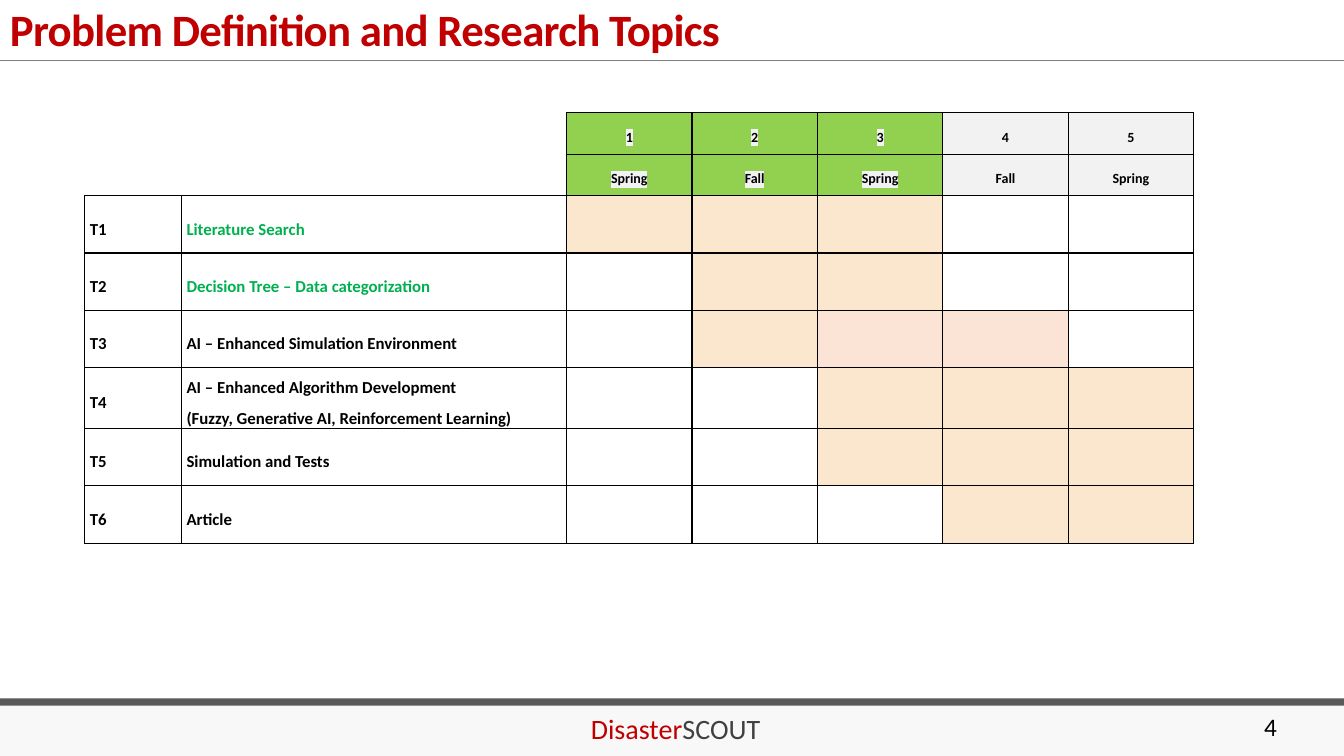
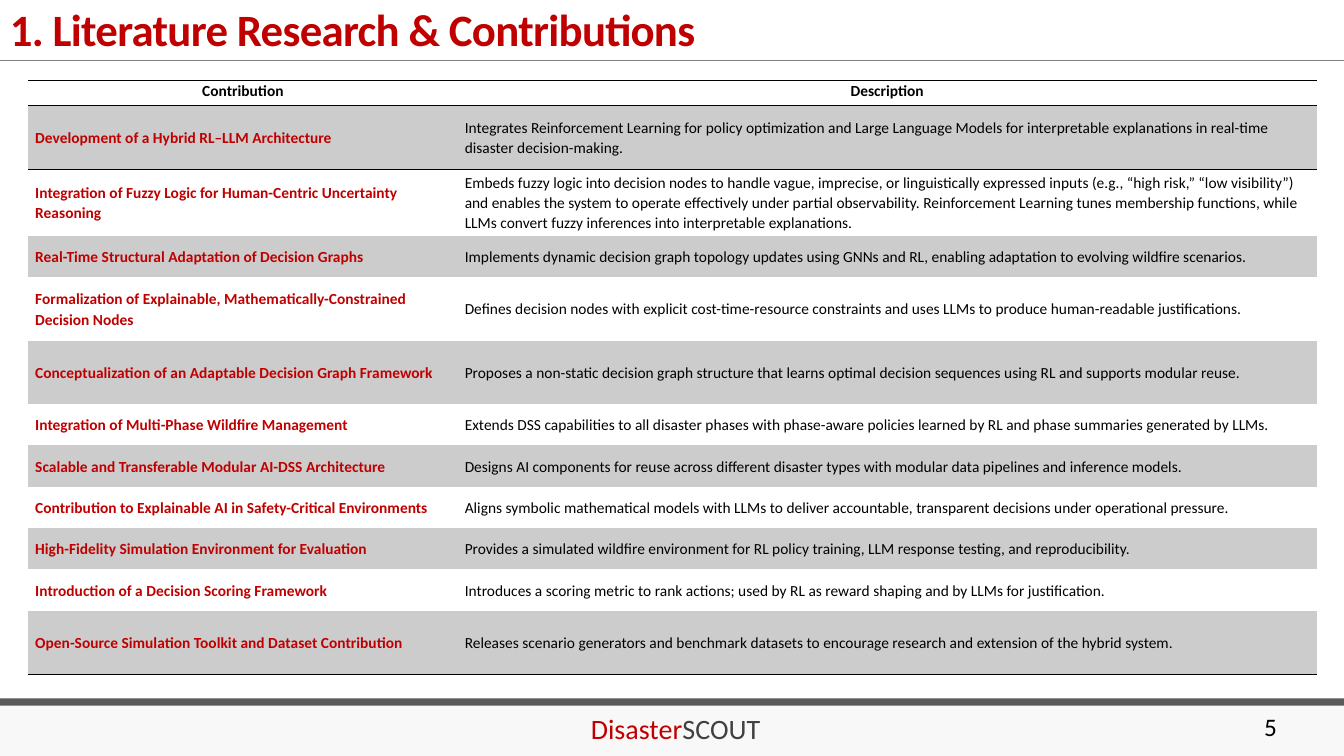
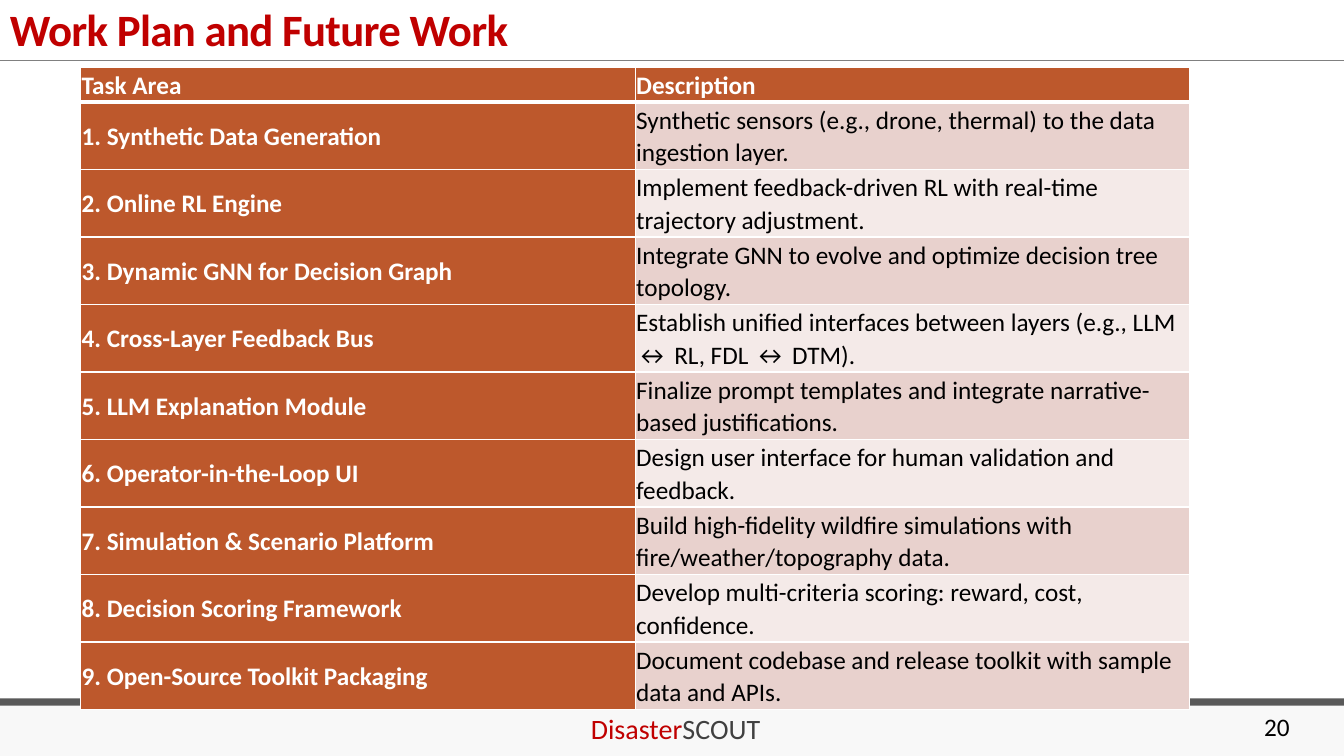
from dataclasses import dataclass

from lxml import etree
from pptx import Presentation
from pptx.dml.color import RGBColor
from pptx.enum.shapes import MSO_CONNECTOR as CONN, MSO_SHAPE as SHAPE
from pptx.enum.text import MSO_ANCHOR as ANCHOR, PP_ALIGN as ALIGN
from pptx.oxml.ns import qn
from pptx.util import Inches, Pt


@dataclass(frozen=True)
class Theme:
    font: str = "Calibri"
    red: str = "C00000"
    black: str = "000000"
    white: str = "FFFFFF"
    dark: str = "404040"
    band: str = "595959"
    rule: str = "808080"
    footer: str = "F8F8F8"
    pale: str = "F2F2F2"
    lime: str = "92D050"
    green: str = "00B050"
    planned: str = "FBE6CE"
    extended: str = "FBE4D5"
    stripe: str = "CCCCCC"
    rust: str = "BD582C"
    rose: str = "E8D1CD"
    blush: str = "F4EAE8"
    title_size: float = 32
    brand_size: float = 20
    body_size: float = 18
    task_size: float = 12
    contribution_size: float = 11
    term_size: float = 10


T = Theme()
WIDTH, HEIGHT = 13.33, 7.5
NO_STYLE = "{2D5ABB26-0587-4C30-8999-92F81FD0307C}"

TERMS = [("1", "Spring"), ("2", "Fall"), ("3", "Spring"), ("4", "Fall"), ("5", "Spring")]
TERMS_DONE = 3

# One letter per term: P planned, E extended, - free
TASKS = [
    ("T1", "Literature Search", T.green, "PPP--"),
    ("T2", "Decision Tree – Data categorization", T.green, "-PP--"),
    ("T3", "AI – Enhanced Simulation Environment", T.black, "-PEE-"),
    ("T4", "AI – Enhanced Algorithm Development\n"
           "(Fuzzy, Generative AI, Reinforcement Learning)", T.black, "--PPP"),
    ("T5", "Simulation and Tests", T.black, "--PPP"),
    ("T6", "Article", T.black, "---PP"),
]

# Row height, contribution, description
CONTRIBUTIONS = [
    (0.63, "Development of a Hybrid RL–LLM Architecture",
     "Integrates Reinforcement Learning for policy optimization and Large Language Models "
     "for interpretable explanations in real-time disaster decision-making."),
    (0.66, "Integration of Fuzzy Logic for Human-Centric Uncertainty Reasoning",
     "Embeds fuzzy logic into decision nodes to handle vague, imprecise, or linguistically "
     "expressed inputs (e.g., “high risk,” “low visibility”) and enables the system to operate "
     "effectively under partial observability. Reinforcement Learning tunes membership "
     "functions, while LLMs convert fuzzy inferences into interpretable explanations."),
    (0.41, "Real-Time Structural Adaptation of Decision Graphs",
     "Implements dynamic decision graph topology updates using GNNs and RL, enabling "
     "adaptation to evolving wildfire scenarios."),
    (0.63, "Formalization of Explainable, Mathematically-Constrained Decision Nodes",
     "Defines decision nodes with explicit cost-time-resource constraints and uses LLMs to "
     "produce human-readable justifications."),
    (0.63, "Conceptualization of an Adaptable Decision Graph Framework",
     "Proposes a non-static decision graph structure that learns optimal decision sequences "
     "using RL and supports modular reuse."),
    (0.41, "Integration of Multi-Phase Wildfire Management",
     "Extends DSS capabilities to all disaster phases with phase-aware policies learned by RL "
     "and phase summaries generated by LLMs."),
    (0.41, "Scalable and Transferable Modular AI-DSS Architecture",
     "Designs AI components for reuse across different disaster types with modular data "
     "pipelines and inference models."),
    (0.41, "Contribution to Explainable AI in Safety-Critical Environments",
     "Aligns symbolic mathematical models with LLMs to deliver accountable, transparent "
     "decisions under operational pressure."),
    (0.41, "High-Fidelity Simulation Environment for Evaluation",
     "Provides a simulated wildfire environment for RL policy training, LLM response testing, "
     "and reproducibility."),
    (0.41, "Introduction of a Decision Scoring Framework",
     "Introduces a scoring metric to rank actions; used by RL as reward shaping and by LLMs "
     "for justification."),
    (0.63, "Open-Source Simulation Toolkit and Dataset Contribution",
     "Releases scenario generators and benchmark datasets to encourage research and extension "
     "of the hybrid system."),
]

WORK_PLAN = [
    ("Synthetic Data Generation",
     "Synthetic sensors (e.g., drone, thermal) to the data ingestion layer."),
    ("Online RL Engine", "Implement feedback-driven RL with real-time trajectory adjustment."),
    ("Dynamic GNN for Decision Graph",
     "Integrate GNN to evolve and optimize decision tree topology."),
    ("Cross-Layer Feedback Bus",
     "Establish unified interfaces between layers (e.g., LLM ↔ RL, FDL ↔ DTM)."),
    ("LLM Explanation Module",
     "Finalize prompt templates and integrate narrative-based justifications."),
    ("Operator-in-the-Loop UI", "Design user interface for human validation and feedback."),
    ("Simulation & Scenario Platform",
     "Build high-fidelity wildfire simulations with fire/weather/topography data."),
    ("Decision Scoring Framework", "Develop multi-criteria scoring: reward, cost, confidence."),
    ("Open-Source Toolkit Packaging",
     "Document codebase and release toolkit with sample data and APIs."),
]


def rgb(color):
    return RGBColor.from_string(color)


def add_run(p, text, size, color, bold=False, highlight=None):
    r = p.add_run()
    r.text = text
    font = r.font
    font.name, font.size, font.bold = T.font, Pt(size), bold
    font.color.rgb = rgb(color)
    if highlight:
        mark = etree.Element(qn("a:highlight"))
        etree.SubElement(mark, qn("a:srgbClr"), val=highlight)
        r._r.rPr.find(qn("a:solidFill")).addnext(mark)
    return r


def add_text(slide, box, runs, align=ALIGN.LEFT, anchor=ANCHOR.TOP):
    """Add a text box of one paragraph; each run is the arguments of add_run."""
    tf = slide.shapes.add_textbox(*map(Inches, box)).text_frame
    tf.word_wrap = True
    tf.vertical_anchor = anchor
    p = tf.paragraphs[0]
    p.alignment = align
    for run in runs:
        add_run(p, *run)
    return p


def add_bar(slide, top, height, color):
    sp = slide.shapes.add_shape(SHAPE.RECTANGLE, 0, Inches(top), Inches(WIDTH), Inches(height))
    sp.shadow.inherit = False
    sp.fill.solid()
    sp.fill.fore_color.rgb = rgb(color)
    sp.line.fill.background()


def add_rule(slide, top):
    line = slide.shapes.add_connector(CONN.STRAIGHT, 0, Inches(top), Inches(WIDTH), Inches(top))
    line.line.color.rgb = rgb(T.rule)
    line.line.width = Pt(0.5)
    etree.SubElement(line._element.spPr, qn("a:effectLst"))


def add_framed_slide(prs, title, number):
    """Add a blank slide with the shared title, rule, bands and footer."""
    slide = prs.slides.add_slide(prs.slide_layouts[6])
    add_bar(slide, 7, 0.5, T.footer)
    add_bar(slide, 6.93, 0.07, T.band)
    add_text(slide, (5.71, 7.01, 1.98, 0.44),
             [("Disaster", T.brand_size, T.red), ("SCOUT", T.brand_size, T.dark)], ALIGN.CENTER)
    add_text(slide, (12.44, 7.01, 0.89, 0.4), [(str(number), T.body_size, T.black)])
    add_rule(slide, 0.6)
    p = add_text(slide, (0, 0, WIDTH, 0.6), [(title, T.title_size, T.red, True)],
                 anchor=ANCHOR.BOTTOM)
    p.line_spacing = 0.85
    p.runs[0].font._element.set("spc", "-50")
    return slide


def add_table(slide, left, top, cols, rows):
    """Add an unstyled table from column widths and row heights in inches."""
    frame = slide.shapes.add_table(len(rows), len(cols), Inches(left), Inches(top),
                                   Inches(sum(cols)), Inches(sum(rows)))
    table = frame.table
    table.first_row = table.horz_banding = False
    next(frame._element.iter(qn("a:tableStyleId"))).text = NO_STYLE
    for col, width in zip(table.columns, cols):
        col.width = Inches(width)
    for row, height in zip(table.rows, rows):
        row.height = Inches(height)
    return table


def style_cell(cell, fill=None, **borders):
    """Fill a cell and draw its borders, given as L, R, T or B = (color, points)."""
    if fill:
        cell.fill.solid()
        cell.fill.fore_color.rgb = rgb(fill)
    else:
        cell.fill.background()
    tcPr = cell._tc.get_or_add_tcPr()
    sides = [side for side in "LRTB" if side in borders]
    for i, side in enumerate(sides):
        color, points = borders[side]
        ln = etree.Element(qn(f"a:ln{side}"), w=str(Pt(points)))
        solid = etree.SubElement(ln, qn("a:solidFill"))
        etree.SubElement(solid, qn("a:srgbClr"), val=color)
        tcPr.insert(i, ln)


def write_cell(cell, text, size, color, bold=False, highlight=None, align=ALIGN.LEFT,
               anchor=ANCHOR.MIDDLE, inset=(0.05, 0), spacing=1.07, before=0, after=0):
    cell.margin_left = cell.margin_right = Inches(inset[0])
    cell.margin_top = cell.margin_bottom = Inches(inset[1])
    cell.vertical_anchor = anchor
    tf = cell.text_frame
    for i, line in enumerate(text.split("\n")):
        p = tf.add_paragraph() if i else tf.paragraphs[0]
        p.alignment, p.line_spacing = align, spacing
        p.space_before, p.space_after = Pt(before), Pt(after)
        add_run(p, line, size, color, bold, highlight)


def grid(color, points=1):
    return dict.fromkeys("LRTB", (color, points))


def add_schedule(slide):
    term_width = (11 - 0.96 - 3.82) / len(TERMS)
    table = add_table(slide, 0.84, 1.12, [0.96, 3.82] + [term_width] * len(TERMS),
                      [0.41] * 2 + [0.57] * len(TASKS))
    black = grid(T.black)
    corner = {**black, "L": (T.white, 1), "T": (T.white, 1)}
    for row in range(2):
        for col in range(2):
            style_cell(table.cell(row, col), **corner)
    table.cell(0, 0).merge(table.cell(1, 1))
    for col, term in enumerate(TERMS):
        for row, label in enumerate(term):
            cell = table.cell(row, col + 2)
            style_cell(cell, T.lime if col < TERMS_DONE else T.pale, **black)
            write_cell(cell, label, T.term_size, T.black, True, T.pale, ALIGN.CENTER, spacing=1.5)
    fills = {"P": T.planned, "E": T.extended}
    for row, (code, task, color, terms) in enumerate(TASKS, 2):
        for col, (text, ink) in enumerate([(code, T.black), (task, color)]):
            style_cell(table.cell(row, col), **black)
            write_cell(table.cell(row, col), text, T.task_size, ink, True, spacing=1.5)
        for col, mark in enumerate(terms, 2):
            style_cell(table.cell(row, col), fills.get(mark), **black)


def add_contributions(slide):
    table = add_table(slide, 0.28, 0.8, [4.26, 8.52],
                      [0.25] + [height for height, _, _ in CONTRIBUTIONS])
    line = (T.black, 1)
    for col, heading in enumerate(["Contribution", "Description"]):
        style_cell(table.cell(0, col), T=line, B=line)
        write_cell(table.cell(0, col), heading, T.contribution_size, T.black, True,
                   align=ALIGN.CENTER, anchor=ANCHOR.TOP, inset=(0.07, 0), before=2, after=2)
    for row, (_, name, description) in enumerate(CONTRIBUTIONS, 1):
        borders = {"T": line} if row == 1 else {"B": line} if row == len(CONTRIBUTIONS) else {}
        for col, (text, color, bold) in enumerate([(name, T.red, True),
                                                   (description, T.black, False)]):
            style_cell(table.cell(row, col), T.stripe if row % 2 else None, **borders)
            write_cell(table.cell(row, col), text, T.contribution_size, color, bold,
                       inset=(0.07, 0), before=6, after=6)


def add_work_plan(slide):
    table = add_table(slide, 0.8, 0.67, [5.5, 5.5], [0.34] + [0.67] * len(WORK_PLAN))
    rows = [("Task Area", "Description")]
    rows += [(f"{i}. {area}", text) for i, (area, text) in enumerate(WORK_PLAN, 1)]
    thick = (T.white, 3)
    edges = {0: {"B": thick}, 1: {"T": thick}}
    for row, texts in enumerate(rows):
        for col, text in enumerate(texts):
            heading = row == 0 or col == 0
            fill = T.rust if heading else T.rose if row % 2 else T.blush
            cell = table.cell(row, col)
            style_cell(cell, fill, **{**grid(T.white), **edges.get(row, {})})
            write_cell(cell, text, T.body_size, T.white if heading else T.black, heading,
                       inset=(0.01, 0.01), after=8)


def main():
    prs = Presentation()
    prs.slide_width, prs.slide_height = Inches(WIDTH), Inches(HEIGHT)
    add_schedule(add_framed_slide(prs, "Problem Definition and Research Topics", 4))
    add_contributions(add_framed_slide(prs, "1. Literature Research & Contributions", 5))
    add_work_plan(add_framed_slide(prs, "Work Plan and Future Work", 20))
    prs.save("out.pptx")


if __name__ == "__main__":
    main()
